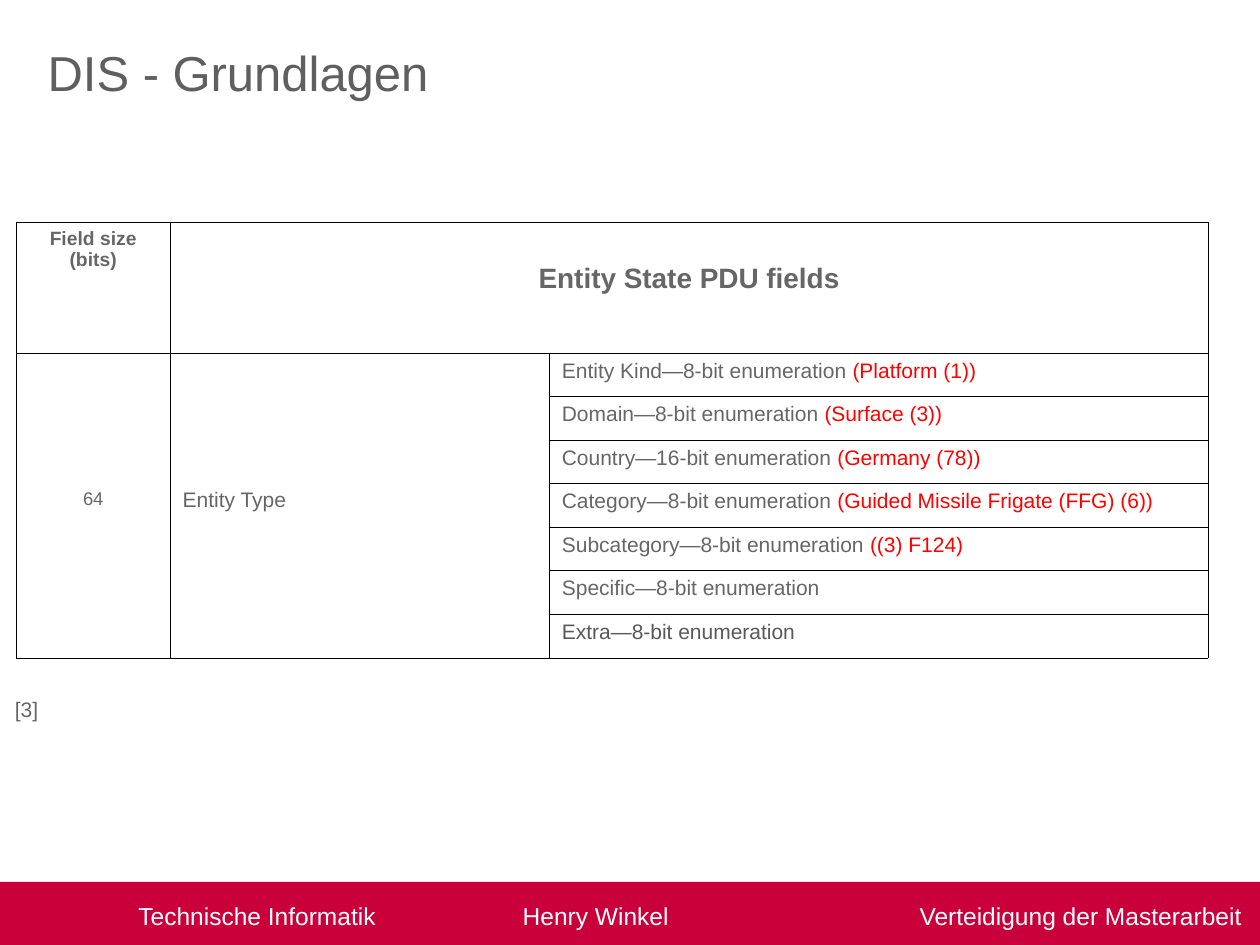
from dataclasses import dataclass
from typing import Optional

from lxml import etree
from pptx import Presentation, util as u
from pptx.dml.color import RGBColor
from pptx.enum import shapes, text
from pptx.oxml.ns import qn


@dataclass(frozen=True)
class Theme:
    font: str = "Arial"
    title_color: str = "5F5F5F"
    body_color: str = "666666"
    last_color: str = "595959"
    accent: str = "FF0000"
    banner: str = "CA003B"
    white: str = "FFFFFF"
    border: str = "000000"
    title_size: float = 28
    header_size: float = 16
    footer_size: float = 14
    body_size: float = 12
    label_size: float = 11
    bits_size: float = 10.5
    border_width: float = 0.06


@dataclass(frozen=True)
class Field:
    name: str
    value: str = ""
    color: Optional[str] = None


THEME = Theme()
FIELDS = [
    Field("Entity Kind—8-bit enumeration ", "(Platform (1))"),
    Field("Domain—8-bit enumeration ", "(Surface (3))"),
    Field("Country—16-bit enumeration ", "(Germany (78))"),
    Field("Category—8-bit enumeration ", "(Guided Missile Frigate (FFG) (6))"),
    Field("Subcategory—8-bit enumeration ", "((3) F124)"),
    Field("Specific—8-bit enumeration"),
    Field("Extra—8-bit enumeration", color=THEME.last_color),
]
FOOTER = ["Technische Informatik", "Henry Winkel", "Verteidigung der Masterarbeit"]
FOOTER_TABS = [1.0, 4.05, 7.2]
COLUMN_WIDTHS = [1.22, 3.01, 5.23]
TABLE_HEIGHT, HEADER_HEIGHT = 3.46, 1.04


def add_run(paragraph, content: str, size: float, color: str, bold: bool = False) -> None:
    run = paragraph.add_run()
    run.text = content
    for name, value in {"name": THEME.font, "size": u.Pt(size), "bold": bold}.items():
        setattr(run.font, name, value)
    run.font.color.rgb = RGBColor.from_string(color)


def add_text(slide, box: tuple, content: str, size: float, color: str) -> None:
    shape = slide.shapes.add_textbox(*map(u.Inches, box))
    # No right margin, so that the narrow citation stays on one line
    for name, value in {"word_wrap": True, "margin_right": 0}.items():
        setattr(shape.text_frame, name, value)
    add_run(shape.text_frame.paragraphs[0], content, size, color)


def add_footer(slide) -> None:
    shape = slide.shapes.add_shape(
        shapes.MSO_SHAPE.RECTANGLE, *map(u.Inches, (0, 7, 10, 0.54)))
    shape.shadow.inherit = False
    shape.fill.solid()
    shape.fill.fore_color.rgb = RGBColor.from_string(THEME.banner)
    shape.line.fill.background()
    frame = shape.text_frame
    formats = {"word_wrap": True, "margin_right": 0,
               "vertical_anchor": text.MSO_ANCHOR.MIDDLE}
    for name, value in formats.items():
        setattr(frame, name, value)
    paragraph = frame.paragraphs[0]
    paragraph.alignment = text.PP_ALIGN.LEFT
    tabs = etree.SubElement(paragraph._p.get_or_add_pPr(), qn("a:tabLst"))
    for position in FOOTER_TABS:
        etree.SubElement(tabs, qn("a:tab"), pos=str(u.Inches(position)), algn="l")
    add_run(paragraph, "".join("\t" + part for part in FOOTER),
            THEME.footer_size, THEME.white)


def style_cell(cell) -> None:
    properties = cell._tc.get_or_add_tcPr()
    for side in ("lnL", "lnR", "lnT", "lnB"):
        line = etree.SubElement(properties, qn(f"a:{side}"),
                                w=str(u.Pt(THEME.border_width)))
        fill = etree.SubElement(line, qn("a:solidFill"))
        etree.SubElement(fill, qn("a:srgbClr"), val=THEME.border)
    cell.fill.solid()
    cell.fill.fore_color.rgb = RGBColor.from_string(THEME.white)


def fill_cell(cell, content: str, size: float, bold: bool = False,
              centered: bool = True, margin_bottom: Optional[float] = None) -> None:
    paragraph = cell.text_frame.paragraphs[0]
    if centered:
        paragraph.alignment = text.PP_ALIGN.CENTER
    if margin_bottom is not None:
        cell.vertical_anchor = text.MSO_ANCHOR.MIDDLE
        cell.margin_bottom = u.Inches(margin_bottom)
    add_run(paragraph, content, size, THEME.body_color, bold)


def add_field_table(slide) -> None:
    last = len(FIELDS)
    table = slide.shapes.add_table(
        last + 1, len(COLUMN_WIDTHS),
        *map(u.Inches, (0.13, 1.76, sum(COLUMN_WIDTHS), TABLE_HEIGHT))).table
    table.first_row = table.horz_banding = False
    for column, width in zip(table.columns, COLUMN_WIDTHS):
        column.width = u.Inches(width)
    field_height = (TABLE_HEIGHT - HEADER_HEIGHT) / last
    for index, row in enumerate(table.rows):
        row.height = u.Inches(field_height if index else HEADER_HEIGHT)
    for cell in table.iter_cells():
        style_cell(cell)

    # Merged areas
    table.cell(0, 1).merge(table.cell(0, 2))
    for column in (0, 1):
        table.cell(1, column).merge(table.cell(last, column))

    # Header and entity type
    fill_cell(table.cell(0, 0), "Field size (bits)", THEME.label_size, bold=True)
    fill_cell(table.cell(0, 1), "Entity State PDU fields", THEME.header_size,
              bold=True, margin_bottom=0.18)
    fill_cell(table.cell(1, 0), "64", THEME.bits_size, margin_bottom=0.14)
    fill_cell(table.cell(1, 1), "Entity Type", THEME.body_size,
              centered=False, margin_bottom=0.13)

    # Fields with example values
    for row, field in enumerate(FIELDS, start=1):
        paragraph = table.cell(row, 2).text_frame.paragraphs[0]
        add_run(paragraph, field.name, THEME.body_size, field.color or THEME.body_color)
        if field.value:
            add_run(paragraph, field.value, THEME.body_size, THEME.accent)


def main() -> None:
    presentation = Presentation()
    presentation.slide_width, presentation.slide_height = u.Inches(10), u.Inches(7.5)
    slide = presentation.slides.add_slide(presentation.slide_layouts[6])
    add_footer(slide)
    # Title and citation
    add_text(slide, (0.28, 0.29, 7.87, 0.79), "DIS - Grundlagen",
             THEME.title_size, THEME.title_color)
    add_text(slide, (0.02, 5.48, 0.38, 0.3), "[3]",
             THEME.body_size, THEME.body_color)
    add_field_table(slide)
    presentation.save("out.pptx")


if __name__ == "__main__":
    main()
